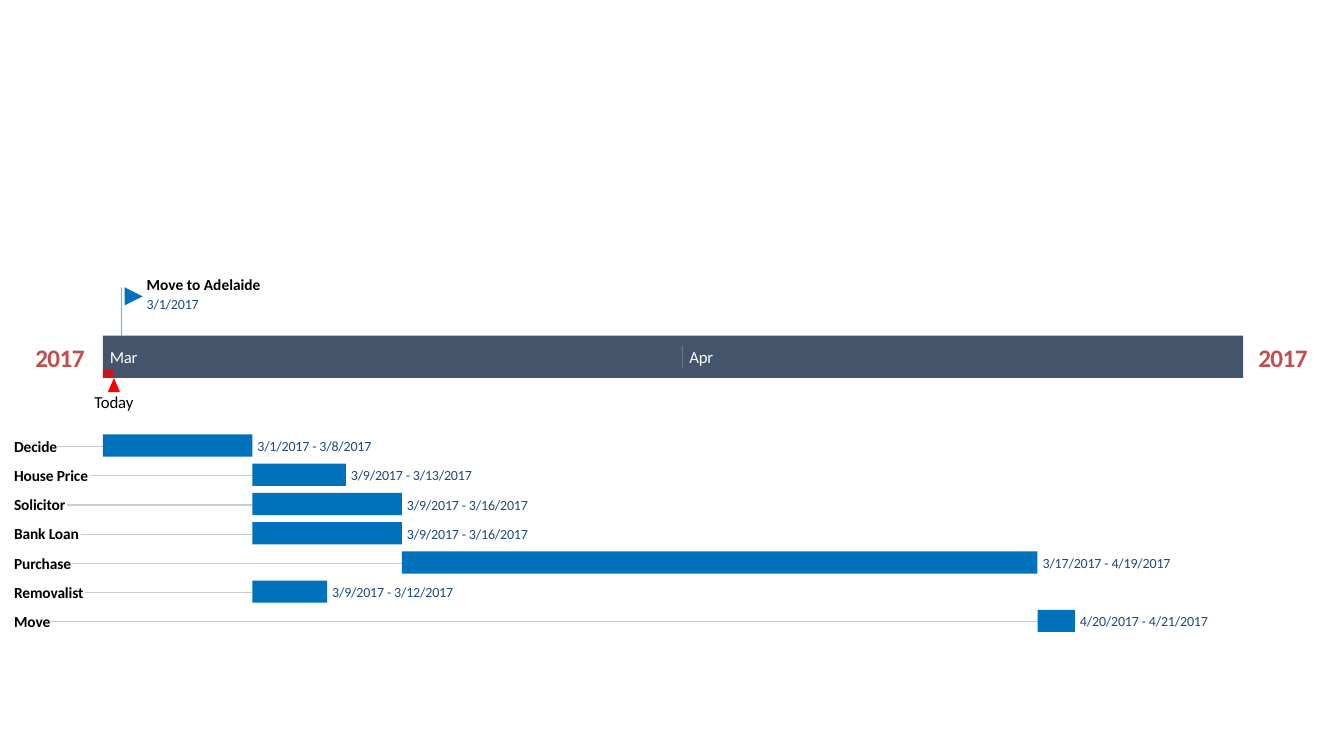
from dataclasses import dataclass

from lxml import etree
from pptx import Presentation
from pptx.dml.color import RGBColor
from pptx.enum import shapes, text
from pptx.oxml.ns import qn
from pptx.util import Inches, Pt


@dataclass(frozen=True)
class Theme:
    font: str = "Calibri"
    blue: str = "0072BC"
    slate: str = "44546A"
    red: str = "FF0000"
    brick: str = "C0504D"
    navy: str = "1F497E"
    gray: str = "CCCCCC"
    black: str = "000000"
    white: str = "FFFFFF"
    year: int = 18
    month: int = 12
    name: int = 11
    date: int = 10


T = Theme()
KIND = shapes.MSO_SHAPE
MID = text.PP_ALIGN.CENTER

# Time grid: one column per day, one row per task
LEFT, WIDE, DAYS = 1.02, 11.31, 61
COL = WIDE / DAYS
TOP, ROW, BAR = 4.31, 0.29, 0.22
BAND, HIGH = 3.33, 0.42
EDGE = 0.14
MONTHS = {"3": 0, "4": 31}

# Task name, name width, first day, last day
TASKS = [
    ("Decide", 0.43, "3/1/2017", "3/8/2017"),
    ("House Price", 0.75, "3/9/2017", "3/13/2017"),
    ("Solicitor", 0.52, "3/9/2017", "3/16/2017"),
    ("Bank Loan", 0.66, "3/9/2017", "3/16/2017"),
    ("Purchase", 0.57, "3/17/2017", "4/19/2017"),
    ("Removalist", 0.7, "3/9/2017", "3/12/2017"),
    ("Move", 0.36, "4/20/2017", "4/21/2017"),
]


def day_x(date, after=0):
    """Left edge of a day's column, or of a later one."""
    month, day, _ = date.split("/")
    return LEFT + (MONTHS[month] + int(day) - 1 + after) * COL


def fade(shape, share):
    """Make the shape's one colour partly transparent."""
    node = next(shape._element.spPr.iter(qn("a:srgbClr")))
    etree.SubElement(node, qn("a:alpha"), val=str(share * 1000))


def block(slide, kind, x, y, w, h, color, alpha=None, turn=0):
    shape = slide.shapes.add_shape(kind, *map(Inches, (x, y, w, h)))
    shape.shadow.inherit = False
    shape.rotation = turn
    shape.fill.solid()
    shape.fill.fore_color.rgb = RGBColor.from_string(color)
    shape.line.fill.background()
    if alpha:
        fade(shape, alpha)


def rule(slide, x1, y1, x2, y2, color, width=0.75, alpha=None):
    line = slide.shapes.add_connector(
        shapes.MSO_CONNECTOR.STRAIGHT, *map(Inches, (x1, y1, x2, y2)))
    line.line.width = Pt(width)
    line.line.color.rgb = RGBColor.from_string(color)
    if alpha:
        fade(line, alpha)
    etree.SubElement(line._element.spPr, qn("a:effectLst"))


def write(slide, words, x, y, w, h, size, color, bold=False,
          align=text.PP_ALIGN.LEFT, wrap=True, tight=-0.1):
    frame = slide.shapes.add_textbox(*map(Inches, (x, y, w, h))).text_frame
    frame.word_wrap = wrap
    frame.vertical_anchor = text.MSO_ANCHOR.MIDDLE
    frame.margin_left = frame.margin_right = 0
    frame.margin_top = frame.margin_bottom = 0
    par = frame.paragraphs[0]
    par.alignment = align
    run = par.add_run()
    run.text = words
    run.font.name, run.font.size, run.font.bold = T.font, Pt(size), bold
    run.font.color.rgb = RGBColor.from_string(color)
    run._r.get_or_add_rPr().set("spc", str(round(tight * 100)))


def dates(slide, words, x, y):
    write(slide, words, x, y, 0.06 + 0.06 * len(words), 0.17, T.date, T.navy)


def band(slide):
    for x in (0.35, 12.48):
        write(slide, "2017", x, 3.39, 0.49, 0.31, T.year, T.brick, bold=True,
              align=MID, wrap=False, tight=-0.4)
    block(slide, KIND.RECTANGLE, LEFT, BAND, WIDE, HIGH, T.slate)
    # Months
    for name, first, w in (("Mar", "3/1/2017", 0.28), ("Apr", "4/1/2017", 0.24)):
        x = day_x(first)
        if x > LEFT:
            rule(slide, x, BAND + 0.1, x, BAND + 0.32, T.white, 0.5, alpha=30)
        write(slide, name, x + 0.07, BAND + 0.11, w, 0.2, T.month, T.white,
              wrap=False, tight=-0.2)
    # Today
    end = BAND + HIGH
    block(slide, KIND.RECTANGLE, LEFT, end - 0.08, 0.11, 0.08, T.red, alpha=75)
    block(slide, KIND.ISOSCELES_TRIANGLE, LEFT + 0.05, end, 0.12, 0.14, T.red)
    write(slide, "Today", 0.93, end + 0.14, 0.4, 0.2, T.month, T.black,
          align=MID, wrap=False)


def flag(slide, name, date):
    x, y = day_x(date, 1), 2.85
    rule(slide, x, y, x, BAND, T.blue, alpha=50)
    block(slide, KIND.FLOWCHART_MERGE, x + 0.03, y, 0.18, 0.18, T.blue, turn=270)
    write(slide, name, x + 0.25, y - 0.12, 1.14, 0.19, T.name, T.black,
          bold=True, tight=0)
    dates(slide, date, x + 0.25, y + 0.08)


def task(slide, row, name, w, first, last):
    y, x, end = TOP + row * ROW, day_x(first), day_x(last, 1)
    rule(slide, EDGE + w, y + 0.12, x, y + 0.12, T.gray)
    block(slide, KIND.RECTANGLE, x, y, end - x, BAR, T.blue)
    dates(slide, f"{first} - {last}", end + 0.05, y + 0.03)
    write(slide, name, EDGE, y + 0.02, w + 0.02, 0.19, T.name, T.black, bold=True)


def main():
    deck = Presentation()
    deck.slide_width, deck.slide_height = Inches(13.33), Inches(7.5)
    slide = deck.slides.add_slide(deck.slide_layouts[6])
    flag(slide, "Move to Adelaide", "3/1/2017")
    band(slide)
    for row, item in enumerate(TASKS):
        task(slide, row, *item)
    deck.save("out.pptx")


if __name__ == "__main__":
    main()
